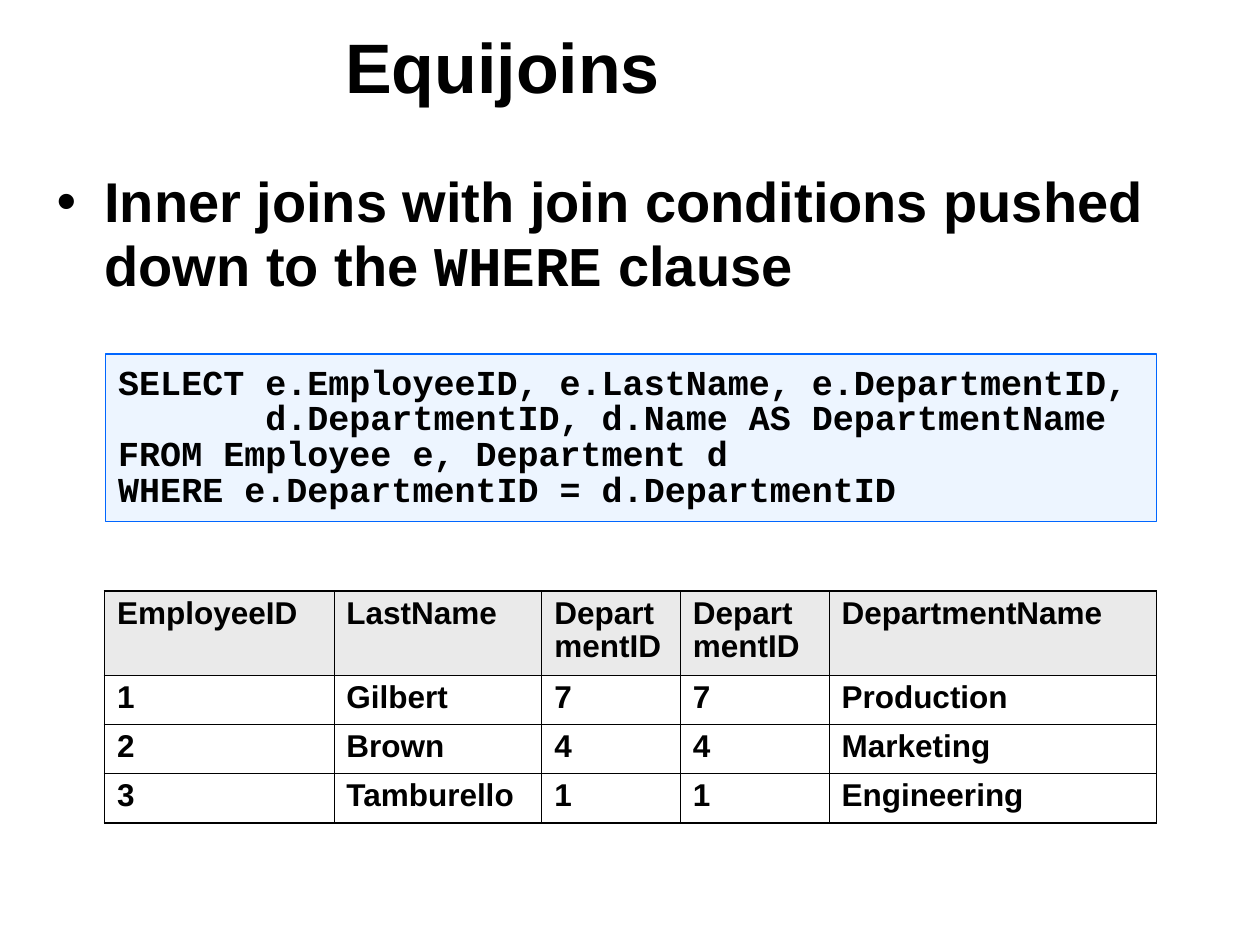
from pptx import Presentation
from pptx.dml.color import RGBColor
from pptx.enum.shapes import MSO_SHAPE
from pptx.enum.text import MSO_ANCHOR, MSO_AUTO_SIZE, PP_ALIGN
from pptx.oxml.ns import qn
from pptx.util import Inches, Pt
from lxml import etree

RECT = MSO_SHAPE.RECTANGLE
TOP, MIDDLE = MSO_ANCHOR.TOP, MSO_ANCHOR.MIDDLE
FIXED, GROW = MSO_AUTO_SIZE.NONE, MSO_AUTO_SIZE.SHAPE_TO_FIT_TEXT
LEFT = PP_ALIGN.LEFT
SANS, MONO = "Arial", "Courier New"


def color(code):
    return RGBColor.from_string(code)


def style(para, size, space, face=SANS):
    para.alignment = LEFT
    para.line_spacing = space
    for run in para.runs:
        run.font.name = face
        run.font.size = Pt(size)
        run.font.bold = True
        run.font.color.rgb = color("000000")


deck = Presentation()
deck.slide_width, deck.slide_height = Inches(10), Inches(7.5)
slide = deck.slides.add_slide(deck.slide_layouts[5])

title = slide.shapes.title
title.left, title.top = Inches(2.64), Inches(0.08)
title.width, title.height = Inches(7.17), Inches(0.99)
frame = title.text_frame
frame.text = "Equijoins"
frame.auto_size = FIXED
frame.vertical_anchor = MIDDLE
style(frame.paragraphs[0], 40, 0.85)

body = slide.shapes.add_textbox(Inches(0.35), Inches(1.31), Inches(9.29), Inches(5.83))
frame = body.text_frame
frame.word_wrap = True
para = frame.paragraphs[0]
props = para._p.get_or_add_pPr()
props.set("marL", str(Inches(0.38)))
props.set("indent", str(-Inches(0.38)))
tint = etree.SubElement(props, qn("a:buClr"))
etree.SubElement(tint, qn("a:srgbClr"), val="000000")
etree.SubElement(props, qn("a:buFont"), typeface=SANS)
etree.SubElement(props, qn("a:buChar"), char="•")
for text in ("Inner joins with join conditions pushed down to the ", "WHERE", " clause"):
    para.add_run().text = text
style(para, 32, 0.95)
para.runs[1].font.name = MONO

code = slide.shapes.add_shape(RECT, Inches(0.84), Inches(2.81), Inches(8.34), Inches(1.33))
code.shadow.inherit = False
code.fill.solid()
code.fill.fore_color.rgb = color("DDECFF")
shade = code.fill._xPr.find(qn("a:solidFill"))[0]
etree.SubElement(shade, qn("a:alpha"), val="50000")
code.line.color.rgb = color("0066FF")
code.line.width = Pt(0.75)
frame = code.text_frame
frame.margin_top = frame.margin_bottom = Inches(0.1)
frame.vertical_anchor = TOP
frame.word_wrap = True
frame.auto_size = GROW
frame.text = """SELECT e.EmployeeID, e.LastName, e.DepartmentID,
       d.DepartmentID, d.Name AS DepartmentName
FROM Employee e, Department d
WHERE e.DepartmentID = d.DepartmentID"""
for para in frame.paragraphs:
    style(para, 20, 0.85, MONO)

rows = [
    ("EmployeeID", "LastName", "DepartmentID", "DepartmentID", "DepartmentName"),
    ("1", "Gilbert", "7", "7", "Production"),
    ("2", "Brown", "4", "4", "Marketing"),
    ("3", "Tamburello", "1", "1", "Engineering"),
]
widths = [1.82, 1.65, 1.1, 1.18, 2.6]
heights = [0.67, 0.39, 0.39, 0.39]
table = slide.shapes.add_table(
    len(rows), len(widths), Inches(0.83), Inches(4.69),
    Inches(sum(widths)), Inches(sum(heights))).table
table.horz_banding = False
for col, width in zip(table.columns, widths):
    col.width = Inches(width)
for row, height in zip(table.rows, heights):
    row.height = Inches(height)

last = len(rows) - 1
end = len(widths) - 1
for r, row in enumerate(rows):
    for c, text in enumerate(row):
        cell = table.cell(r, c)
        cell.text = text
        style(cell.text_frame.paragraphs[0], 18, 0.95)
        props = cell._tc.get_or_add_tcPr()
        thick = {"L": c == 0, "R": c == end, "T": r < 2, "B": r in (0, last)}
        for side, bold in thick.items():
            width = Pt(1.08 if bold else 0.45)
            line = etree.SubElement(props, qn(f"a:ln{side}"), w=str(width))
            paint = etree.SubElement(line, qn("a:solidFill"))
            etree.SubElement(paint, qn("a:srgbClr"), val="000000")
        if r == 0:
            cell.fill.solid()
            cell.fill.fore_color.rgb = color("EAEAEA")
        else:
            cell.fill.background()

deck.save("out.pptx")
